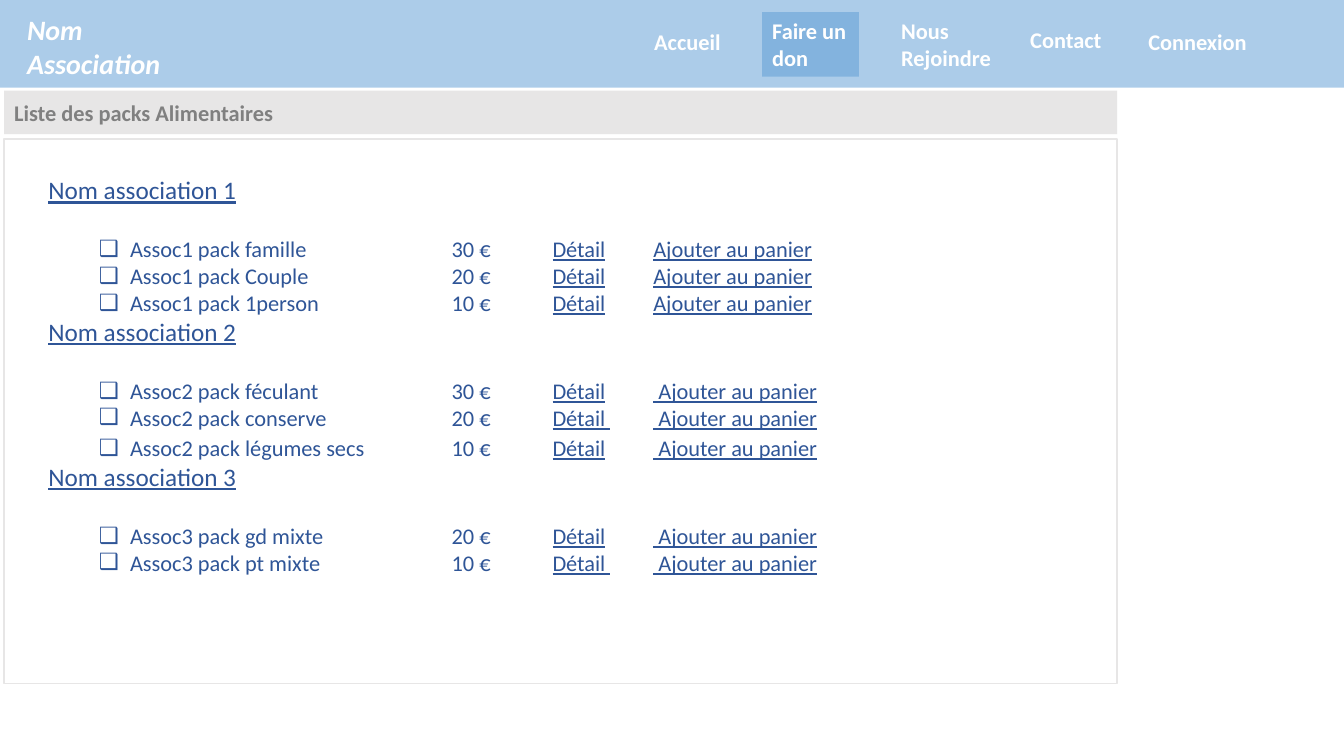
from lxml import etree
from pptx import Presentation, util as u
from pptx.dml.color import RGBColor
from pptx.enum import shapes, text
from pptx.oxml.ns import qn

PX = 9144  # EMU: 100 px to the inch
COLORS = {"blue": "5B9BD5", "white": "FFFFFF", "pale": "E7E6E6",
          "grey": "808080", "navy": "2F5597"}
NAV = [  # label, box within the header
    ("Accueil", (639, 23, 96, 37)),
    ("Faire un don", (756, 12, 96, 64)),
    ("Nous Rejoindre", (884, 12, 117, 64)),
    ("Contact", (1012, 21, 96, 37)),
    ("Connexion", (1129, 23, 128, 37)),
]
ACTIVE = "Faire un don"
PACKS = {  # association: pack, price, detail link, basket link
    "Nom association 1": [
        ("Assoc1 pack famille", "30 €", "Détail", "Ajouter au panier"),
        ("Assoc1 pack Couple", "20 €", "Détail", "Ajouter au panier"),
        ("Assoc1 pack 1person", "10 €", "Détail", "Ajouter au panier"),
    ],
    "Nom association 2": [
        ("Assoc2 pack féculant", "30 €", "Détail", " Ajouter au panier"),
        ("Assoc2 pack conserve", "20 €", "Détail ", " Ajouter au panier"),
        ("Assoc2 pack légumes secs", "10 €", "Détail", " Ajouter au panier"),
    ],
    "Nom association 3": [
        ("Assoc3 pack gd mixte", "20 €", "Détail", " Ajouter au panier"),
        ("Assoc3 pack pt mixte", "10 €", "Détail ", " Ajouter au panier"),
    ],
}
LONG_NAME = 22  # characters that already reach past the first tab


def color(name):
    return RGBColor.from_string(COLORS[name])


def emu(box):
    return [u.Emu(length * PX) for length in box]


def fill(shape, name, opacity=100):
    shape.fill.solid()
    shape.fill.fore_color.rgb = color(name)
    if opacity < 100:
        tint = shape.fill._xPr.find(".//" + qn("a:srgbClr"))
        etree.SubElement(tint, qn("a:alpha"), val=str(opacity * 1000))


def style(para, size, name, bold=None, italic=None):
    font = para.font
    font.name, font.size = "Calibri", u.Pt(size)
    font.bold, font.italic = bold, italic
    font.color.rgb = color(name)
    para.alignment = text.PP_ALIGN.LEFT


def add_rect(page, box):
    rect = page.shapes.add_shape(shapes.MSO_SHAPE.RECTANGLE, *emu(box))
    rect.shadow.inherit = False
    rect.line.fill.background()
    return rect


def add_label(page, box, words, size, italic=None):
    label = page.shapes.add_textbox(*emu(box))
    label.text_frame.word_wrap = True
    para = label.text_frame.paragraphs[0]
    para.text = words
    style(para, size, "white", True, italic)
    return label


def place(holder, box, anchor):
    """Move a placeholder to the box and return its text frame."""
    holder.left, holder.top, holder.width, holder.height = emu(box)
    frame = holder.text_frame
    frame.word_wrap = True
    frame.auto_size = text.MSO_AUTO_SIZE.NONE
    frame.vertical_anchor = anchor
    return frame


def add_header(page, box):
    left, top = box[:2]
    fill(add_rect(page, box), "blue", 50)
    add_label(page, (left + 17, top + 8, 154, 77), "Nom Association", 20, True)
    for words, (x, y, width, height) in NAV:
        item = add_label(page, (left + x, top + y, width, height), words, 16)
        if words == ACTIVE:
            fill(item, "blue", 50)


def add_title(page, box):
    title = page.shapes.title
    para = place(title, box, text.MSO_ANCHOR.MIDDLE).paragraphs[0]
    para.text = "Liste des packs Alimentaires"
    style(para, 16, "grey", True)
    fill(title, "pale")


def set_indent(para, left, hanging, bullet=None):
    props = para._p.get_or_add_pPr()
    props.set("marL", str(left * PX))
    props.set("indent", str(-hanging * PX))
    props.set("defTabSz", str(100 * PX))
    if bullet:
        etree.SubElement(props, qn("a:buChar"), char=bullet)
    else:
        etree.SubElement(props, qn("a:buNone"))


def fill_heading(para, name):
    set_indent(para, 0, 0)
    para.text = name
    style(para, 18, "navy")
    para.font.underline = True
    para.space_before, para.space_after = u.Pt(0), u.Pt(22)


def fill_pack(para, name, price, detail, basket):
    is_long = len(name) > LONG_NAME
    para.level = 1
    set_indent(para, 81, 31, "❑")
    style(para, 16, "navy")
    para.space_before = u.Pt(2.4 if is_long else 0)
    gap = "\t" if is_long else "\t\t"
    for words, linked in [(f"{name}{gap}{price}\t", False), (detail, True),
                          ("\t", False), (basket, True)]:
        span = para.add_run()
        span.text = words
        span.font.underline = linked


def add_pack_list(page, box):
    left, top, width, height = box
    panel = add_rect(page, box)
    panel.fill.background()
    panel.line.color.rgb = color("pale")
    panel.line.width = u.Pt(1)
    inner = (left + 34, top + 30, width - 277, height - 12)
    frame = place(page.placeholders[1], inner, text.MSO_ANCHOR.TOP)
    para = frame.paragraphs[0]
    for number, (association, packs) in enumerate(PACKS.items()):
        if number:
            para = frame.add_paragraph()
        fill_heading(para, association)
        for pack in packs:
            fill_pack(frame.add_paragraph(), *pack)


def main():
    deck = Presentation()
    deck.slide_width, deck.slide_height = emu((1333, 750))
    page = deck.slides.add_slide(deck.slide_layouts[1])
    add_header(page, (0, 0, 1333, 87))
    add_title(page, (4, 90, 1104, 43))
    add_pack_list(page, (4, 138, 1104, 540))
    deck.save("out.pptx")


if __name__ == "__main__":
    main()
